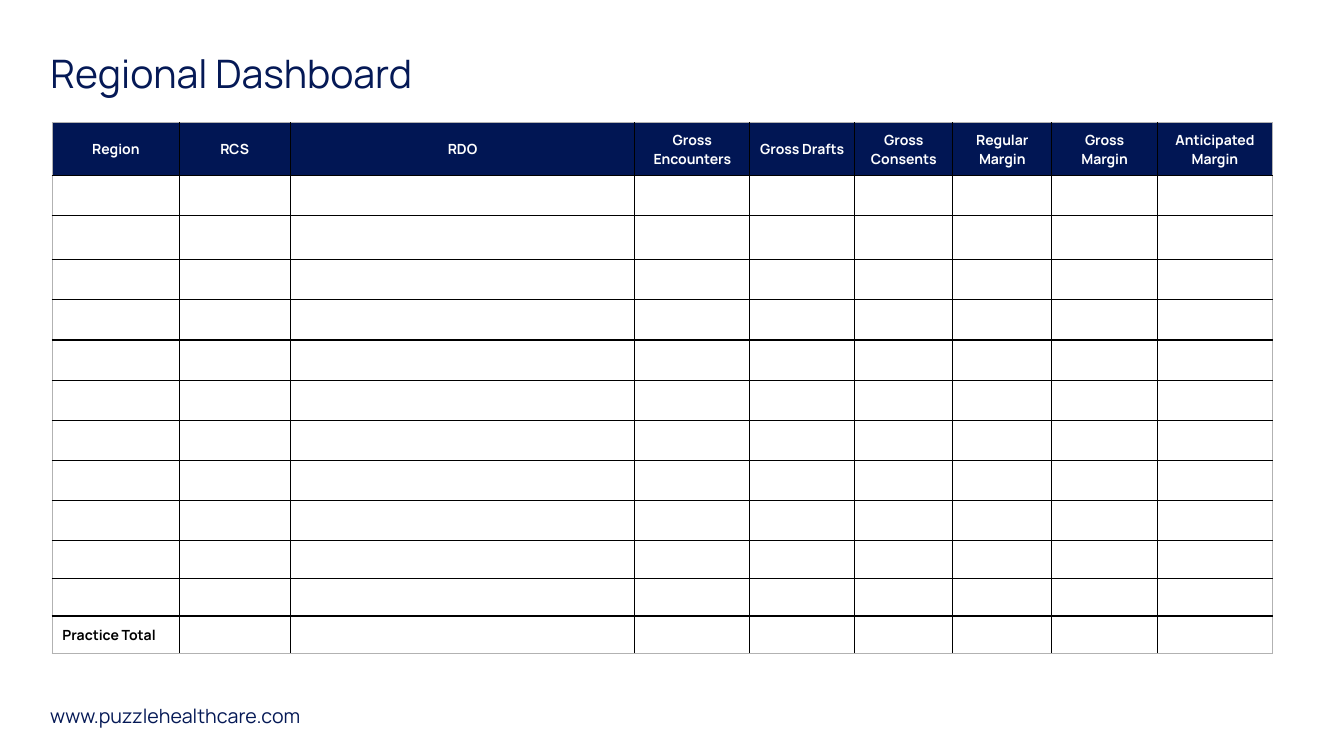
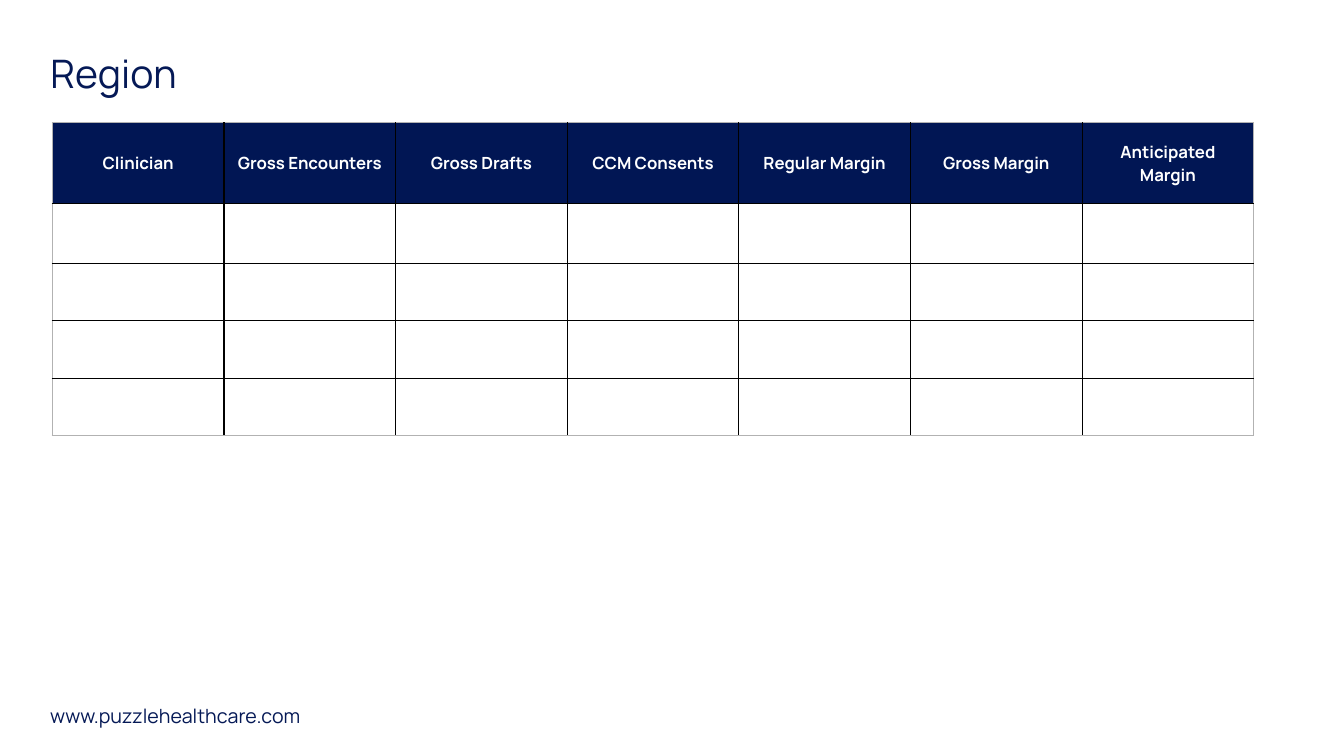
from lxml import etree
from pptx import Presentation
from pptx.dml.color import RGBColor
from pptx.enum.text import MSO_ANCHOR, MSO_AUTO_SIZE, PP_ALIGN
from pptx.oxml.ns import qn
from pptx.util import Pt

TOP, MIDDLE = MSO_ANCHOR.TOP, MSO_ANCHOR.MIDDLE
LEFT, CENTER = PP_ALIGN.LEFT, PP_ALIGN.CENTER
FIXED_SIZE = MSO_AUTO_SIZE.NONE
TITLE_ONLY = 5


def color(value):
    return RGBColor.from_string(value)


class Deck:
    FONT = "Manrope"
    TEXT_BLUE = "051956"
    HEADER_BLUE = "011654"
    WHITE = "FFFFFF"
    BLACK = "000000"
    FRAME_GREY = "B2B2B2"
    TEXT_LEFT = 28.8
    TABLE_LEFT = 37.4
    TABLE_TOP = 87.8
    BORDER_WIDTH = 1

    def __init__(self):
        self.presentation = Presentation()
        self.presentation.slide_width = Pt(960)
        self.presentation.slide_height = Pt(540)
        self.slide = None

    def add_slide(self, title):
        layout = self.presentation.slide_layouts[TITLE_ONLY]
        self.slide = self.presentation.slides.add_slide(layout)
        self.place_text(self.slide.shapes.title, title, 31.7, 750, 45, 28)
        footer = self.slide.shapes.add_textbox(0, 0, 0, 0)
        self.place_text(footer, "www.puzzlehealthcare.com", 499, 440, 26, 14)

    def place_text(self, shape, text, top, width, height, size):
        shape.left, shape.top = Pt(self.TEXT_LEFT), Pt(top)
        shape.width, shape.height = Pt(width), Pt(height)
        frame = shape.text_frame
        frame.word_wrap = True
        frame.auto_size = FIXED_SIZE
        frame.vertical_anchor = TOP
        self.add_run(frame.paragraphs[0], text, size, self.TEXT_BLUE, LEFT)

    def add_run(self, paragraph, text, size, text_color, alignment, bold=False):
        paragraph.alignment = alignment
        run = paragraph.add_run()
        run.text = text
        run.font.name = self.FONT
        run.font.size = Pt(size)
        run.font.bold = bold
        run.font.color.rgb = color(text_color)

    def add_border(self, cell, side, line_color):
        """Draw one side of a cell: L, R, T or B, in that order."""
        line = etree.SubElement(cell._tc.get_or_add_tcPr(), qn(f"a:ln{side}"),
                                w=str(Pt(self.BORDER_WIDTH)))
        fill = etree.SubElement(line, qn("a:solidFill"))
        etree.SubElement(fill, qn("a:srgbClr"), val=line_color)

    def add_table(self, headers, widths, heights, size, last_label=""):
        """Add a grid with a header row and, if given, a label in its last row."""
        table = self.slide.shapes.add_table(
            len(heights), len(widths), Pt(self.TABLE_LEFT), Pt(self.TABLE_TOP),
            Pt(sum(widths)), Pt(sum(heights))).table
        table.first_row = table.horz_banding = False
        for column, width in zip(table.columns, widths):
            column.width = Pt(width)
        last_row, last_column = len(heights) - 1, len(widths) - 1
        for row_index, height in enumerate(heights):
            table.rows[row_index].height = Pt(height)
            for column_index, header in enumerate(headers):
                cell = table.cell(row_index, column_index)
                cell.margin_top = cell.margin_bottom = Pt(0)
                cell.vertical_anchor = MIDDLE
                outer_sides = {"L": column_index == 0,
                               "R": column_index == last_column,
                               "T": row_index == 0,
                               "B": row_index == last_row}
                for side, is_outer in outer_sides.items():
                    self.add_border(cell, side, self.FRAME_GREY if is_outer else self.BLACK)
                paragraph = cell.text_frame.paragraphs[0]
                if row_index == 0:
                    cell.fill.solid()
                    cell.fill.fore_color.rgb = color(self.HEADER_BLUE)
                    self.add_run(paragraph, header, size, self.WHITE, CENTER, True)
                else:
                    cell.fill.background()
        if last_label:
            paragraph = table.cell(last_row, 0).text_frame.paragraphs[0]
            self.add_run(paragraph, last_label, size, self.BLACK, LEFT, True)


def main():
    deck = Deck()

    deck.add_slide("Regional Dashboard")
    deck.add_table(
        ["Region", "RCS", "RDO", "Gross Encounters", "Gross Drafts", "Gross Consents",
         "Regular Margin", "Gross Margin", "Anticipated Margin"],
        widths=[90.7, 79.2, 246.2, 82.1, 74.9, 70.2, 70.6, 75.6, 82.1],
        heights=[37.6, 28.7, 31.4] + [28.7] * 7 + [26.9] * 3,
        size=10, last_label="Practice Total")

    deck.add_slide("Region")
    deck.add_table(
        ["Clinician", "Gross Encounters", "Gross Drafts", "CCM Consents",
         "Regular Margin", "Gross Margin", "Anticipated Margin"],
        widths=[122.6] * 7,
        heights=[57.5, 42.8] + [41.1] * 3,
        size=12)

    deck.presentation.save("out.pptx")


if __name__ == "__main__":
    main()
